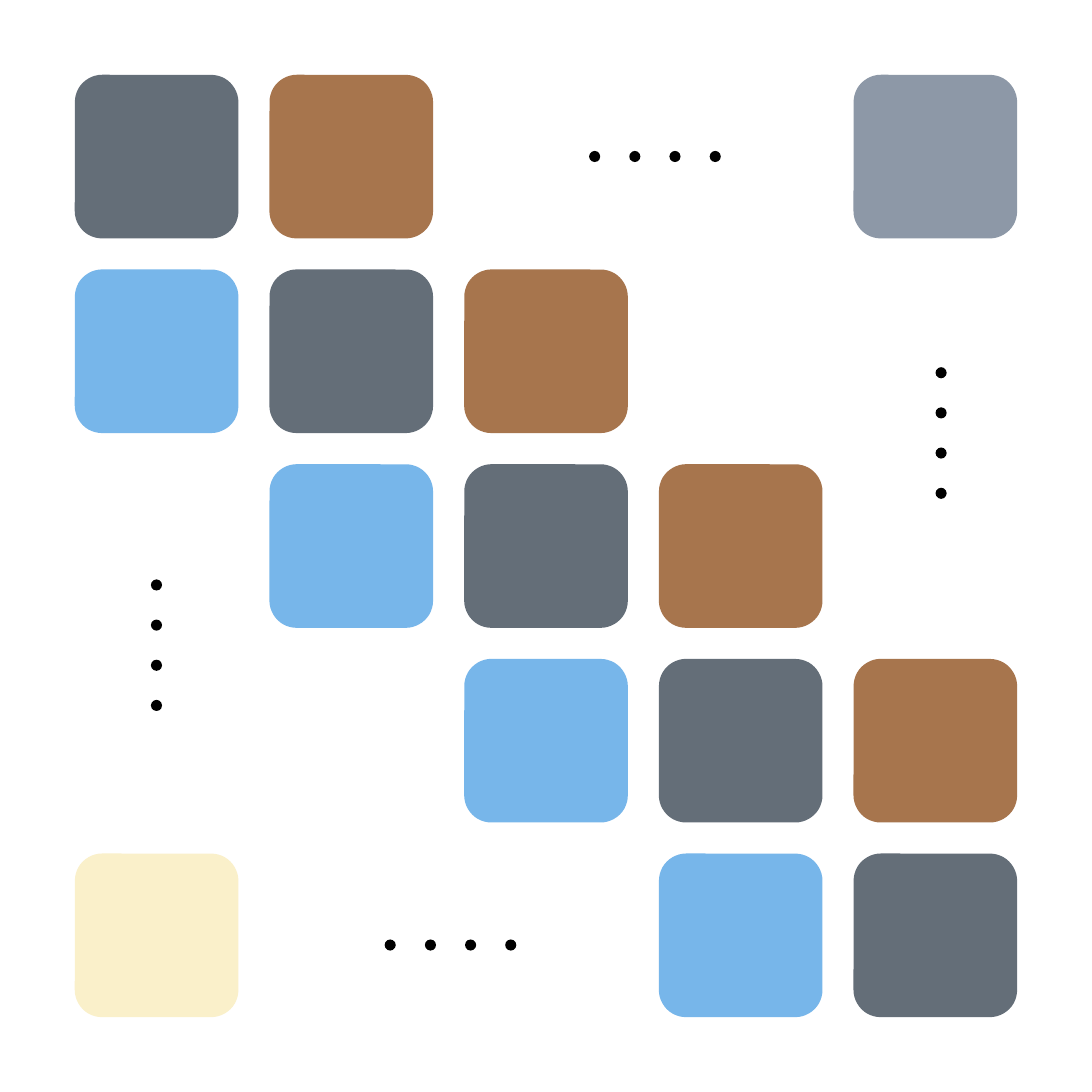
"""Build a slide with a banded matrix of tiles and dotted continuations."""
from pptx import Presentation
from pptx.dml.color import RGBColor
from pptx.enum.shapes import MSO_SHAPE as Shape
from pptx.util import Inches

SIDE = 3.94
MARGIN = 0.27
CELLS = 5
TILE = 0.59
DOT = 0.04
DOT_STEP = 0.145
DOTS = 4
COLORS = {
    "diagonal": "646E78",
    "lower": "77B6EA",
    "upper": "A7754D",
    "top_corner": "8D98A7",
    "bottom_corner": "FAF0CA",
    "dot": "000000",
}
BANDS = [("diagonal", 0), ("lower", -1), ("upper", 1),
         ("top_corner", CELLS - 1), ("bottom_corner", 1 - CELLS)]
ELLIPSES = [(2.56, 0, False), (0, 2.51, True),
            (4.03, 1.42, True), (1.51, 4.05, False)]


def add_mark(shapes, preset, center_x, center_y, size, color):
    """Add a plain filled shape centred on a point."""
    mark = shapes.add_shape(preset, Inches(center_x - size / 2),
                            Inches(center_y - size / 2), Inches(size), Inches(size))
    mark.shadow.inherit = False
    mark.fill.solid()
    mark.fill.fore_color.rgb = RGBColor.from_string(COLORS[color])
    mark.line.fill.background()


def add_ellipsis(shapes, center_x, center_y, vertical):
    """Add a group of evenly spaced dots around a point."""
    dots = shapes.add_group_shape().shapes
    for index in range(DOTS):
        offset = (index - (DOTS - 1) / 2) * DOT_STEP
        dx, dy = (0, offset) if vertical else (offset, 0)
        add_mark(dots, Shape.OVAL, center_x + dx, center_y + dy, DOT, "dot")


def build_matrix(shapes, left, top, size):
    """Place the dots and the diagonal bands of tiles in a square box."""
    pitch = (size - TILE) / (CELLS - 1)

    def center(column, row):
        """Return the middle of a grid cell."""
        return left + TILE / 2 + column * pitch, top + TILE / 2 + row * pitch

    for column, row, vertical in ELLIPSES:
        add_ellipsis(shapes, *center(column, row), vertical)
    for band, shift in BANDS:
        for row in range(max(0, -shift), min(CELLS, CELLS - shift)):
            add_mark(shapes, Shape.ROUNDED_RECTANGLE, *center(row + shift, row),
                     TILE, band)


deck = Presentation()
deck.slide_width = deck.slide_height = Inches(SIDE)
matrix_slide = deck.slides.add_slide(deck.slide_layouts[6])
build_matrix(matrix_slide.shapes, MARGIN, MARGIN, SIDE - 2 * MARGIN)
deck.save("out.pptx")
